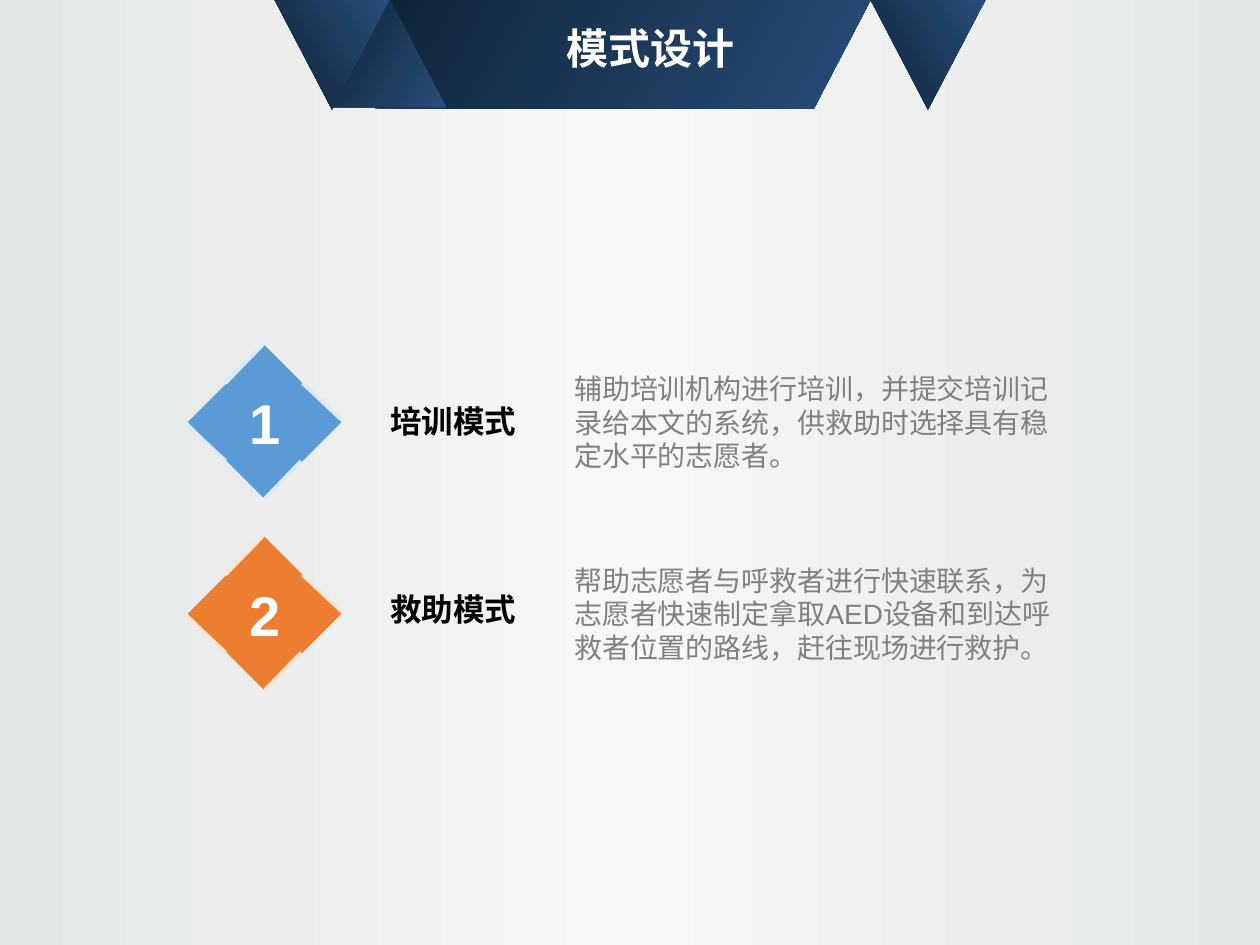
from copy import deepcopy
from pptx import Presentation
from pptx.dml.color import RGBColor
from pptx.enum.shapes import MSO_CONNECTOR, MSO_SHAPE
from pptx.enum.text import MSO_ANCHOR, MSO_AUTO_SIZE, PP_ALIGN
from pptx.oxml.ns import qn
from pptx.util import Inches, Pt
from lxml import etree

TRIANGLE, STRAIGHT = MSO_SHAPE.ISOSCELES_TRIANGLE, MSO_CONNECTOR.STRAIGHT
TOP, MIDDLE = MSO_ANCHOR.TOP, MSO_ANCHOR.MIDDLE
LEFT, CENTER = PP_ALIGN.LEFT, PP_ALIGN.CENTER
FONT = "Arial"

# Content
TITLE = "模式设计"
MODES = [
    dict(number="1", name="培训模式", fill="5B9BD5", edge="DEEBF7", name_top=3.08,
         text="辅助培训机构进行培训，并提交培训记录给本文的系统，供救助时选择具有稳定水平的志愿者。"),
    dict(number="2", name="救助模式", fill="ED7D31", edge="FBE5D6", name_top=4.57,
         text="帮助志愿者与呼救者进行快速联系，为志愿者快速制定拿取AED设备和到达"
              "呼救者位置的路线，赶往现场进行救护。"),
]

# Layout, in inches
BANNER = [(2.98, 0), (6.91, 0), (6.46, 0.86), (2.98, 0.86)]
TRIANGLES = [(2.63, -0.02, False), (2.18, 0, True), (6.91, 0, True)]  # left, top, flipped
CENTER_X, FIRST_Y, ROW_STEP, RADIUS = 2.1, 3.35, 1.52, 0.61
# Edge strokes, relative to the centre of the diamond
STROKES = [((-0.31, -0.31), (-0.02, -0.61)), ((0, 0.61), (0.29, 0.31)),
           ((0.61, -0.02), (0.3, -0.31)), ((-0.31, 0.31), (-0.62, 0.02))]
NAVY = ("0F2437", "284D7A")


def rgb(value):
    return RGBColor.from_string(value)


def gradient(fill, colors, angle):
    fill.gradient()
    fill.gradient_angle = angle
    stops = fill.gradient_stops
    first = stops[0]._gs
    for _ in colors[2:]:
        first.addnext(deepcopy(first))
    for i, (stop, color) in enumerate(zip(fill.gradient_stops, colors)):
        stop.position = i / (len(colors) - 1)
        stop.color.rgb = rgb(color)


def write(shape, text, size, color, bold=False, align=LEFT, anchor=TOP, spacing=None):
    tf = shape.text_frame
    tf.word_wrap, tf.vertical_anchor = True, anchor
    tf.auto_size = MSO_AUTO_SIZE.NONE
    p = tf.paragraphs[0]
    p.text, p.alignment = text, align
    if spacing:
        p.line_spacing = spacing
    p.font.name, p.font.size, p.font.bold = FONT, Pt(size), bold
    p.font.color.rgb = rgb(color)


def text_box(s, box, *args, **kwargs):
    write(s.shapes.add_textbox(*map(Inches, box)), *args, **kwargs)


def polygon(s, points):
    points = [(Inches(x), Inches(y)) for x, y in points]
    builder = s.shapes.build_freeform(*points[0])
    builder.add_line_segments(points[1:], close=True)
    return plain(builder.convert_to_shape())


def plain(shape):
    shape.shadow.inherit = False
    shape.line.fill.background()
    return shape


def add_banner(s):
    gradient(polygon(s, BANNER).fill, NAVY, 330)
    for left, top, flipped in TRIANGLES:
        box = map(Inches, (left, top, 0.91, 0.87))
        sp = plain(s.shapes.add_shape(TRIANGLE, *box))
        gradient(sp.fill, NAVY, 330)
        if flipped:
            sp._element.spPr.find(qn("a:xfrm")).set("flipV", "1")


def add_mode(s, mode, cy):
    # Numbered diamond
    sp = polygon(s, [(CENTER_X, cy - RADIUS), (CENTER_X + RADIUS, cy),
                     (CENTER_X, cy + RADIUS), (CENTER_X - RADIUS, cy)])
    sp.fill.solid()
    sp.fill.fore_color.rgb = rgb(mode["fill"])
    write(sp, mode["number"], 32, "FFFFFF", True, CENTER, MIDDLE)
    # Pale strokes along its edges
    for (x1, y1), (x2, y2) in STROKES:
        ends = (CENTER_X + x1, cy + y1, CENTER_X + x2, cy + y2)
        line = s.shapes.add_connector(STRAIGHT, *map(Inches, ends))
        line.line.color.rgb = rgb(mode["edge"])
        line.line.width = Pt(2.25)
        etree.SubElement(line._element.spPr, qn("a:effectLst"))
    # Name and description
    text_box(s, (3, mode["name_top"], 1.32, 1.19), mode["name"], 18, "000000",
             True, spacing=1.2)
    text_box(s, (4.46, cy - 0.45, 4.06, 0.91), mode["text"], 16, "808080")


def main():
    prs = Presentation()
    prs.slide_width, prs.slide_height = Inches(10), Inches(7.5)
    s = prs.slides.add_slide(prs.slide_layouts[5])
    gradient(s.background.fill, ("E3E7E5", "F7F7F7", "E3E7E5"), 180)
    add_banner(s)

    # Title, brought in front of the banner
    title = s.shapes.title
    title.left, title.top, title.width, title.height = map(Inches, (1.93, 0.13, 6.46, 0.51))
    write(title, TITLE, 24, "FFFFFF", True, CENTER)
    s.shapes._spTree.append(title._element)

    for i, mode in enumerate(MODES):
        add_mode(s, mode, FIRST_Y + i * ROW_STEP)
    prs.save("out.pptx")


if __name__ == "__main__":
    main()
